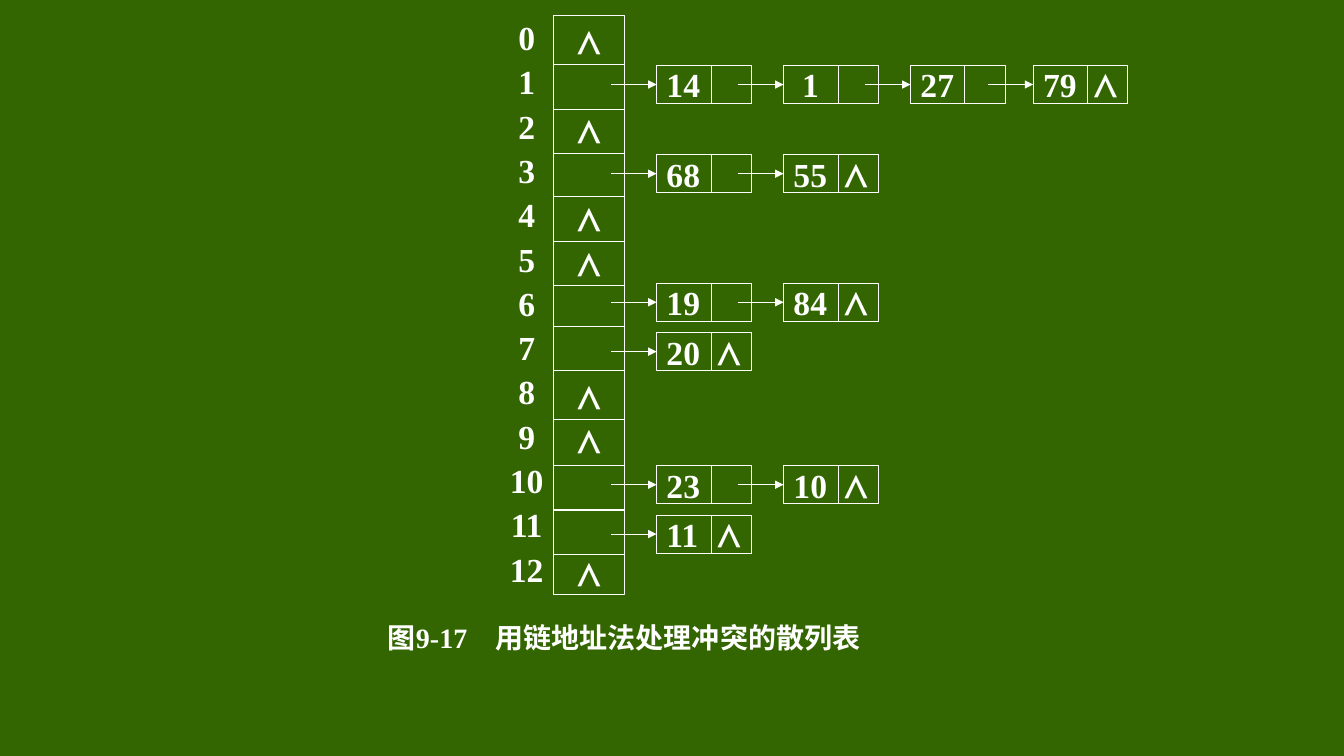
from pptx import Presentation
from pptx.dml.color import RGBColor
from pptx.enum.shapes import MSO_CONNECTOR, MSO_SHAPE
from pptx.enum.text import MSO_ANCHOR, PP_ALIGN
from pptx.oxml.ns import qn
from pptx.util import Pt
from lxml.etree import SubElement

COLORS = {"board": "336600", "chalk": "FFFFFF"}
FONT = "Times New Roman"
NULL = "⋀"
BUCKET_COUNT = 13
ROW_PITCH = 31.67

TABLE_LEFT, TABLE_TOP, TABLE_WIDTH, TABLE_HEIGHT = 395.3, 10.8, 51, 414
BUCKET_EDGES = (46.1, 78.5, 109.4, 140.4, 172.8, 203.8,
                233.3, 265, 299.5, 332.6, 364.3, 396)

NODE_WIDTH, NODE_HEIGHT, KEY_WIDTH = 67.7, 27.2, 38.9
NODE_LEFTS = (469, 559.7, 650.4, 738)
ARROW_LENGTH = 32.4

CHAINS = {
    1: (46.8, ("14", "1", "27", "79")),
    3: (110.5, ("68", "55")),
    6: (202.3, ("19", "84")),
    7: (237.6, ("20",)),
    10: (332.6, ("23", "10")),
    11: (367.9, ("11",)),
}


class Board:
    """Draws chalk-style elements on the current slide."""

    def __init__(self, slide):
        self.slide = slide
        self.chalk = RGBColor.from_string(COLORS["chalk"])
        background = slide.background.fill
        background.solid()
        background.fore_color.rgb = RGBColor.from_string(COLORS["board"])

    def text_box(self, left, top, width, height):
        """Add an empty text box."""
        return self.slide.shapes.add_textbox(Pt(left), Pt(top), Pt(width), Pt(height))

    def box(self, left, top, width, height):
        """Add an outlined rectangle."""
        outline = self.slide.shapes.add_shape(
            MSO_SHAPE.RECTANGLE, Pt(left), Pt(top), Pt(width), Pt(height))
        outline.shadow.inherit = False
        outline.fill.background()
        outline.line.color.rgb = self.chalk
        outline.line.width = Pt(0.75)
        return outline

    def line(self, start, end, target=None):
        """Add a line, or an arrow joined to the left side of a target."""
        stroke = self.slide.shapes.add_connector(
            MSO_CONNECTOR.STRAIGHT, *(Pt(length) for length in start + end))
        stroke.line.color.rgb = self.chalk
        stroke.line.width = Pt(0.75)
        properties = stroke._element.spPr
        if target is not None:
            stroke.end_connect(target, 1)
            SubElement(properties.find(qn("a:ln")), qn("a:tailEnd"), type="triangle")
        SubElement(properties, qn("a:effectLst"))

    def letter(self, holder, paragraphs, size=24, inset=0, align=PP_ALIGN.LEFT,
               pitch=None, tab=None):
        """Fill a shape with (text, space before) paragraphs."""
        frame = holder.text_frame
        frame.word_wrap = True
        frame.vertical_anchor = MSO_ANCHOR.MIDDLE
        frame.margin_left = Pt(inset)
        frame.margin_right = frame.margin_top = frame.margin_bottom = 0
        for index, (text, gap) in enumerate(paragraphs):
            paragraph = frame.add_paragraph() if index else frame.paragraphs[0]
            paragraph.alignment = align
            if pitch:
                paragraph.line_spacing = Pt(pitch)
            if gap:
                paragraph.space_before = Pt(gap)
            if tab:
                stops = SubElement(paragraph._p.get_or_add_pPr(), qn("a:tabLst"))
                SubElement(stops, qn("a:tab"), pos=str(Pt(tab)), algn="l")
            run = paragraph.add_run()
            run.text = text
            run.font.name = FONT
            run.font.size = Pt(size)
            run.font.bold = True
            run.font.color.rgb = self.chalk

    def node(self, left, top, key, is_last):
        """Add a chain node with its key, pointer field and incoming arrow."""
        node = self.box(left, top, NODE_WIDTH, NODE_HEIGHT)
        inset = 7.2 if len(key) > 1 else 13.2
        self.letter(node, [(f"{key}\t{NULL}" if is_last else key, 0)],
                    inset=inset, tab=36 if is_last else None)
        divider = left + KEY_WIDTH
        self.line((divider, top), (divider, top + NODE_HEIGHT))
        middle = top + NODE_HEIGHT / 2
        self.line((left - ARROW_LENGTH, middle), (left, middle), node)

    def buckets(self):
        """Add the bucket numbers and the array of head pointers."""
        numbers = self.text_box(362.2, 7.9, 28, TABLE_HEIGHT)
        self.letter(numbers, [(str(bucket), 0) for bucket in range(BUCKET_COUNT)],
                    align=PP_ALIGN.CENTER, pitch=ROW_PITCH)
        empty = [bucket for bucket in range(BUCKET_COUNT) if bucket not in CHAINS]
        skipped = [0] + [after - before - 1 for before, after in zip(empty, empty[1:])]
        table = self.box(TABLE_LEFT, TABLE_TOP, TABLE_WIDTH, TABLE_HEIGHT)
        self.letter(table, [(NULL, rows * ROW_PITCH) for rows in skipped],
                    align=PP_ALIGN.CENTER, pitch=ROW_PITCH)
        for edge in BUCKET_EDGES:
            self.line((TABLE_LEFT, edge), (TABLE_LEFT + TABLE_WIDTH, edge))


def main():
    """Build the hash table slide."""
    deck = Presentation()
    deck.slide_width, deck.slide_height = Pt(960), Pt(540)
    board = Board(deck.slides.add_slide(deck.slide_layouts[6]))
    caption = board.text_box(270, 442.8, 351.4, 25.2)
    board.letter(caption, [("图9-17\t用链地址法处理冲突的散列表", 0)],
                 size=20, inset=7.2, tab=77)
    board.buckets()
    for top, keys in CHAINS.values():
        for position, (left, key) in enumerate(zip(NODE_LEFTS, keys), start=1):
            board.node(left, top, key, position == len(keys))
    deck.save("out.pptx")


if __name__ == "__main__":
    main()
